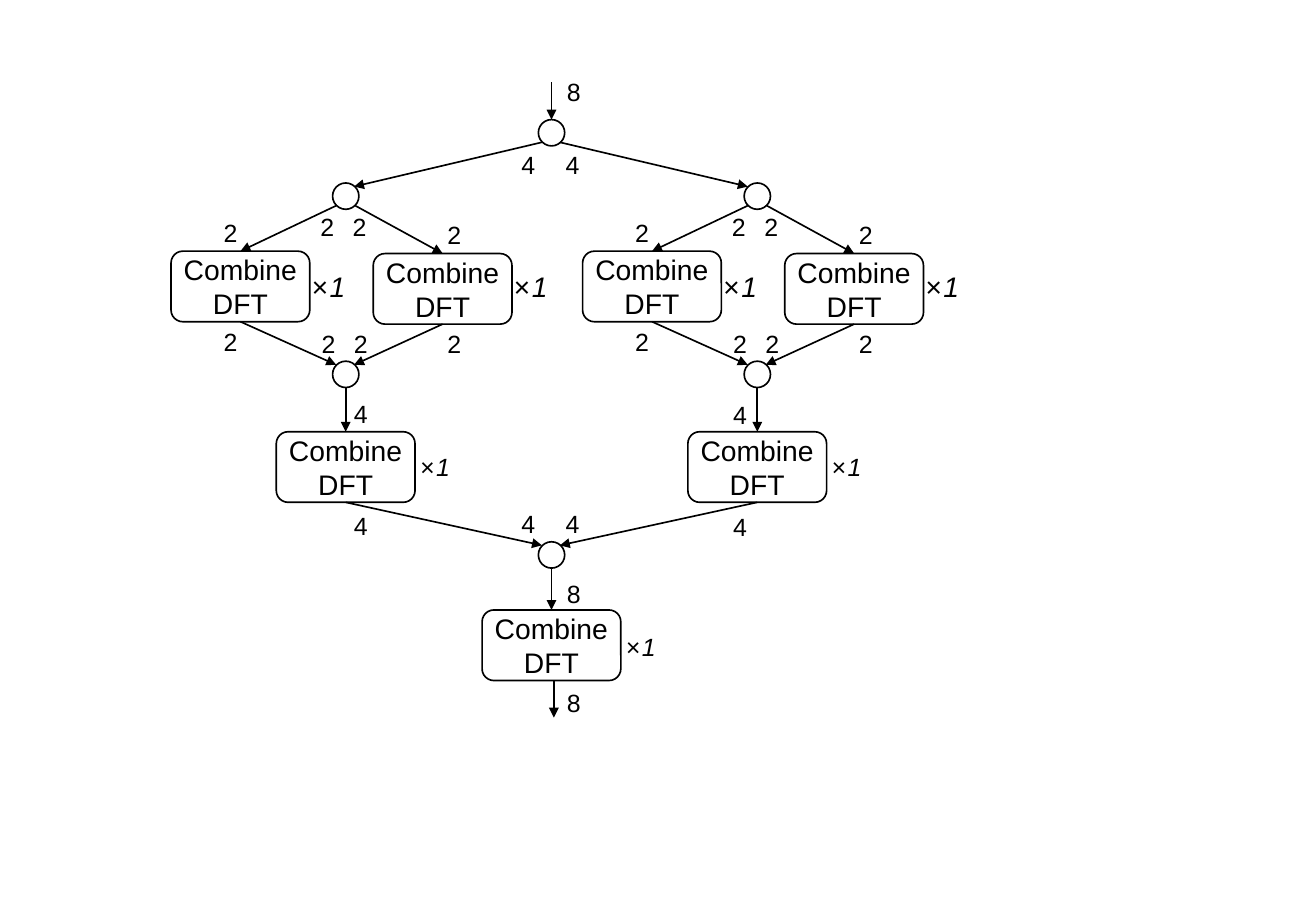
from lxml import etree
from pptx import Presentation
from pptx.dml.color import RGBColor
from pptx.enum.shapes import MSO_CONNECTOR, MSO_SHAPE
from pptx.enum.text import MSO_ANCHOR, MSO_AUTO_SIZE, PP_ALIGN
from pptx.oxml.ns import qn
from pptx.util import Pt

PX = 9144  # 100 px to the inch
FONT = "Arial"
HUES = {"ink": "000000", "node": "FFFFFF"}
ROUND, OVAL = MSO_SHAPE.ROUNDED_RECTANGLE, MSO_SHAPE.OVAL
LINE = MSO_CONNECTOR.STRAIGHT
MID, FIT, MIDDLE = PP_ALIGN.CENTER, MSO_AUTO_SIZE.SHAPE_TO_FIT_TEXT, MSO_ANCHOR.MIDDLE
BOX_W, BOX_H, DOT = 116, 59, 22
SPAN = 344  # from the left branch to the right one


def hue(name):
    return RGBColor.from_string(HUES[name])


def style(run, size, slant=None):
    font = run.font
    font.name, font.size, font.italic = FONT, Pt(size), slant
    font.color.rgb = hue("ink")


def pad(frame, side):
    frame.margin_left = frame.margin_right = side * PX
    frame.margin_top = frame.margin_bottom = 5 * PX
    frame.word_wrap = False


def shape(slide, kind, x, y, w, h):
    item = slide.shapes.add_shape(kind, x * PX, y * PX, w * PX, h * PX)
    item.shadow.inherit = False
    item.line.color.rgb = hue("ink")
    item.line.width = Pt(1)
    return item


def stage(slide, x, y):
    box = shape(slide, ROUND, x, y, BOX_W, BOX_H)
    box.adjustments[0] = 0.167
    box.fill.background()
    frame = box.text_frame
    pad(frame, 11)
    frame.vertical_anchor = MIDDLE
    para = frame.paragraphs[0]
    para.text = "Combine\nDFT"
    para.alignment = MID
    for run in para.runs:
        style(run, 17)


def node(slide, x, y):
    dot = shape(slide, OVAL, x, y, DOT, DOT)
    dot.fill.solid()
    dot.fill.fore_color.rgb = hue("node")


def arrow(slide, x1, y1, x2, y2):
    link = slide.shapes.add_connector(LINE, x1 * PX, y1 * PX, x2 * PX, y2 * PX)
    link.line.color.rgb = hue("ink")
    link.line.width = Pt(1)
    props = link._element.spPr
    etree.SubElement(props.get_or_add_ln(), qn("a:tailEnd"), type="triangle")
    etree.SubElement(props, qn("a:effectLst"))


def text(slide, x, y, w, h):
    box = slide.shapes.add_textbox(x * PX, y * PX, w * PX, h * PX)
    frame = box.text_frame
    pad(frame, 10)
    frame.auto_size = FIT
    para = frame.paragraphs[0]
    para.alignment = MID
    return para


def rate(slide, value, x, y):
    para = text(slide, x, y, 31, 35)
    para.text = value
    style(para.runs[0], 15)


def times(slide, x, y, w, h, size, sub):
    para = text(slide, x, y, w, h)
    for word, points in (("×", size), (" ", sub), ("1", size)):
        run = para.add_run()
        run.text = word
        style(run, points, True)
    para.runs[1]._r.get_or_add_rPr().set("baseline", "-25000")


def branch(slide, x):
    # Boxes and nodes
    for left, top in ((143, 210), (312, 212), (231, 361)):
        stage(slide, x + left, top)
    for top in (153, 302):
        node(slide, x + 278, top)

    # Split, join and down
    for x1, y1, x2, y2 in ((281, 172, 201, 210), (297, 172, 370, 212),
                           (201, 269, 281, 305), (370, 271, 296, 305),
                           (289, 324, 289, 361)):
        arrow(slide, x + x1, y1, x + x2, y2)

    # Rates and repeat counts
    for left, top in ((177, 177), (177, 268), (364, 179), (364, 270),
                      (258, 172), (285, 172), (259, 270), (286, 270)):
        rate(slide, "2", x + left, top)
    for left in (248, 417):
        times(slide, x + left, 220, 53, 39, 17, 7)
    times(slide, x + 339, 373, 49, 35, 15, 6)


def trunk(slide):
    # Outer split and join
    for top in (100, 453):
        node(slide, 450, top)
    stage(slide, 403, 510)
    times(slide, 511, 523, 49, 35, 15, 6)
    for ends in ((461, 69, 461, 100), (453, 119, 296, 156),
                 (468, 119, 625, 156), (289, 420, 453, 456),
                 (633, 420, 468, 456), (461, 475, 461, 510),
                 (463, 569, 463, 600)):
        arrow(slide, *ends)

    # Rates
    for top in (59, 479, 570):
        rate(slide, "8", 464, top)
    for top in (120, 420):
        for left in (426, 463):
            rate(slide, "4", left, top)
    for left, first in ((286, 328), (603, 329)):
        for top in (first, first + 94):
            rate(slide, "4", left, top)


def main():
    deck = Presentation()
    deck.slide_width, deck.slide_height = 1100 * PX, 750 * PX
    slide = deck.slides.add_slide(deck.slide_layouts[6])
    trunk(slide)
    for x in (0, SPAN):
        branch(slide, x)
    deck.save("out.pptx")


if __name__ == "__main__":
    main()
